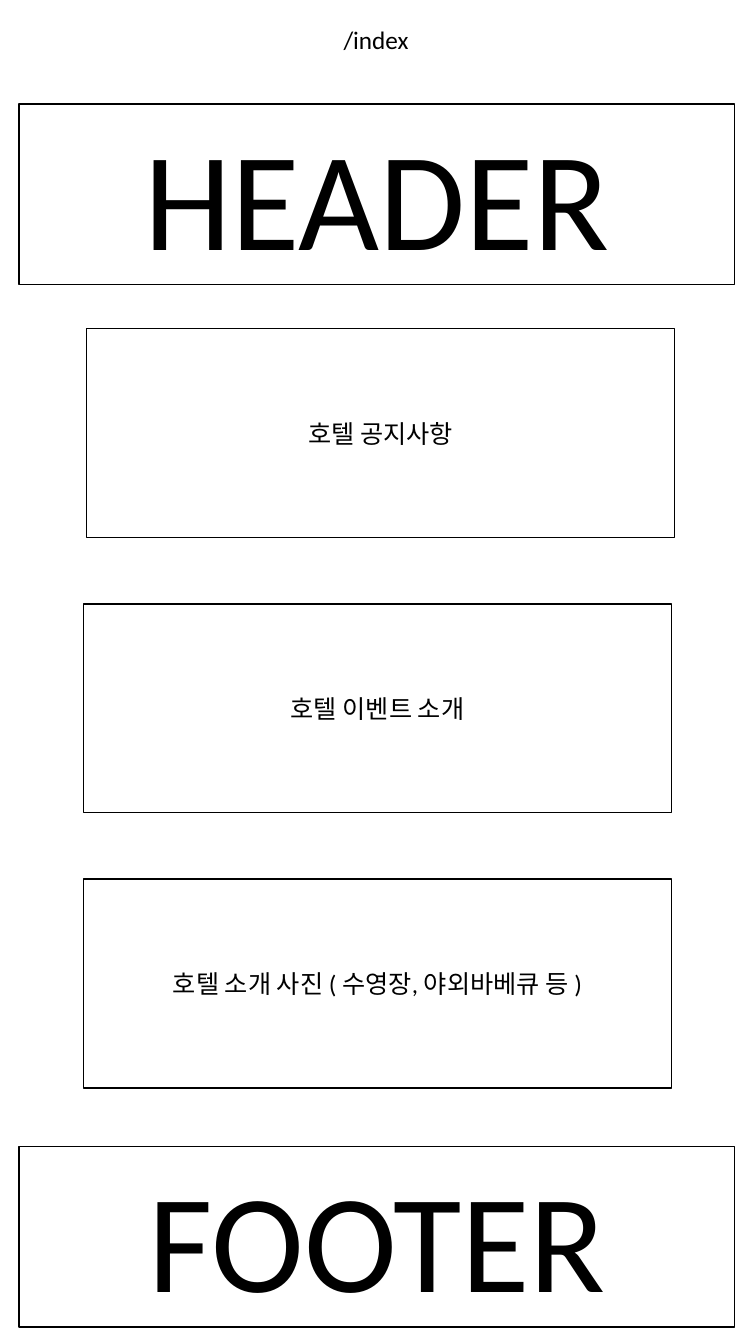
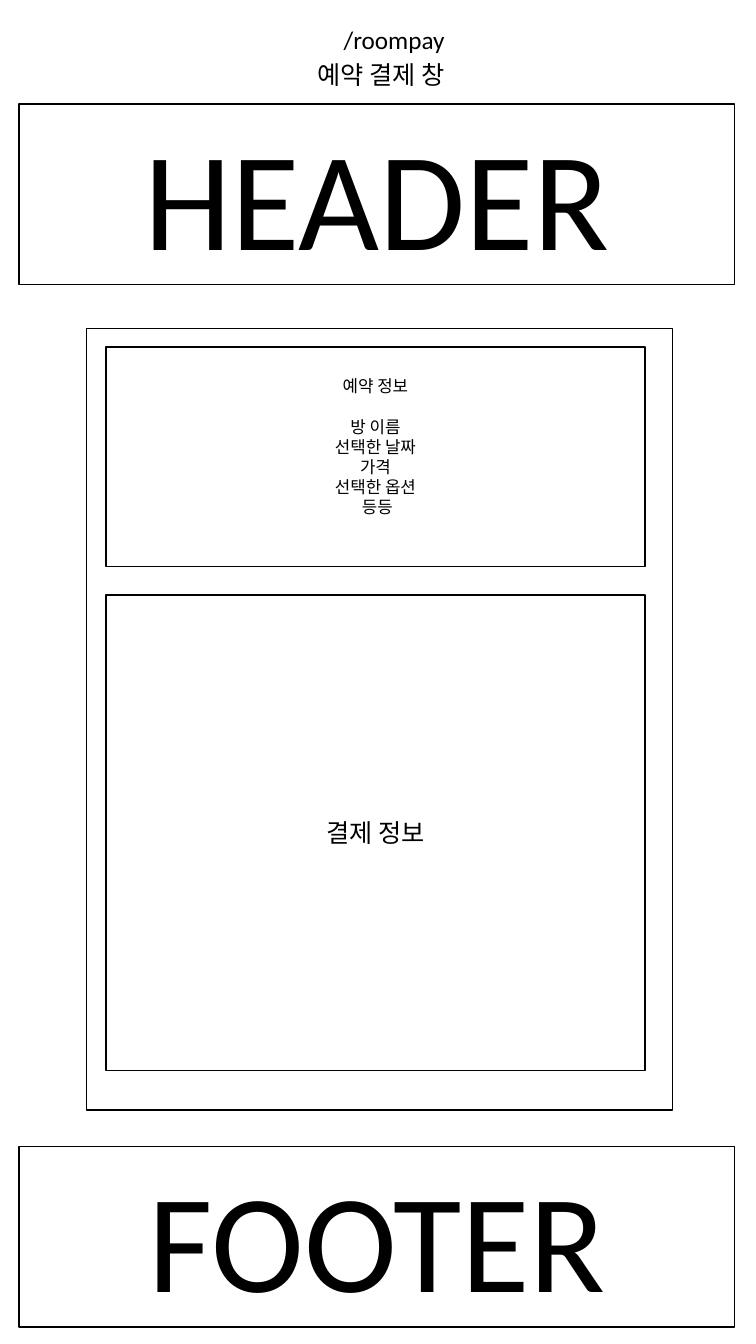
"""Build the hotel site wireframes for the index and payment pages."""
from dataclasses import dataclass

from pptx import Presentation
from pptx.dml.color import RGBColor
from pptx.enum.shapes import MSO_SHAPE
from pptx.enum.text import MSO_ANCHOR, MSO_AUTO_SIZE, PP_ALIGN
from pptx.slide import Slide
from pptx.text.text import TextFrame
from pptx.util import Inches, Pt

INK = "000000"
PAPER = "FFFFFF"
FONT = "Calibri"


@dataclass(frozen=True)
class Box:
    left: float
    top: float
    width: float
    height: float
    lines: tuple[str, ...] = ()
    size: int = 18
    gap: float = 0
    foot: float = 0.05


@dataclass(frozen=True)
class Label:
    left: float
    top: float
    width: float
    text: str


@dataclass(frozen=True)
class Page:
    labels: tuple[Label, ...]
    boxes: tuple[Box, ...]


BANDS = tuple(
    Box(0.19, top, 7.1, 1.79, (text,), 100)
    for top, text in ((1.03, "HEADER"), (11.37, "FOOTER"))
)
PANELS = tuple(
    Box(left, 3.26 + row * 2.73, 5.83, 2.07, (text,))
    for row, (left, text) in enumerate((
        (0.86, "호텔 공지사항"),
        (0.83, "호텔 이벤트 소개"),
        (0.83, "호텔 소개 사진 ( 수영장, 야외바베큐 등 )"),
    ))
)
DETAILS = ("예약 정보", "방 이름", "선택한 날짜", "가격", "선택한 옵션", " 등등")
PAGES = (
    Page((Label(3.31, 0.19, 0.86, "/index"),), PANELS),
    Page(
        (Label(3.31, 0.19, 1.22, "/roompay"), Label(3.05, 0.54, 1.58, "예약 결제 창")),
        (
            Box(0.86, 3.26, 5.81, 7.75),
            Box(1.05, 3.44, 5.35, 2.18, DETAILS, 12, gap=14.5, foot=0.25),
            Box(1.05, 5.9, 5.35, 4.72, ("결제 정보",)),
        ),
    ),
)


def paint(code: str) -> RGBColor:
    return RGBColor.from_string(code)


def write(frame: TextFrame, lines: tuple[str, ...], size: int, align: PP_ALIGN, gap: float = 0) -> None:
    for row, text in enumerate(lines):
        para = frame.add_paragraph() if row else frame.paragraphs[0]
        para.alignment = align
        if gap and row == 0:
            para.space_after = Pt(gap)
        run = para.add_run()
        run.text = text
        run.font.name = FONT
        run.font.size = Pt(size)
        run.font.color.rgb = paint(INK)


def draw_box(slide: Slide, box: Box) -> None:
    shape = slide.shapes.add_shape(
        MSO_SHAPE.RECTANGLE, Inches(box.left), Inches(box.top), Inches(box.width), Inches(box.height)
    )
    shape.shadow.inherit = False
    shape.fill.solid()
    shape.fill.fore_color.rgb = paint(PAPER)
    shape.line.color.rgb = paint(INK)
    shape.line.width = Pt(1)
    frame = shape.text_frame
    frame.word_wrap = True
    frame.vertical_anchor = MSO_ANCHOR.MIDDLE
    frame.margin_bottom = Inches(box.foot)
    write(frame, box.lines, box.size, PP_ALIGN.CENTER, box.gap)


def draw_label(slide: Slide, label: Label) -> None:
    shape = slide.shapes.add_textbox(
        Inches(label.left), Inches(label.top), Inches(label.width), Inches(0.4)
    )
    frame = shape.text_frame
    frame.word_wrap = False
    frame.auto_size = MSO_AUTO_SIZE.SHAPE_TO_FIT_TEXT
    write(frame, (label.text,), 18, PP_ALIGN.LEFT)


def main() -> None:
    deck = Presentation()
    deck.slide_width, deck.slide_height = Inches(7.5), Inches(13.33)
    for page in PAGES:
        slide = deck.slides.add_slide(deck.slide_layouts[6])
        for box in BANDS + page.boxes:
            draw_box(slide, box)
        for label in page.labels:
            draw_label(slide, label)
    deck.save("out.pptx")


if __name__ == "__main__":
    main()
